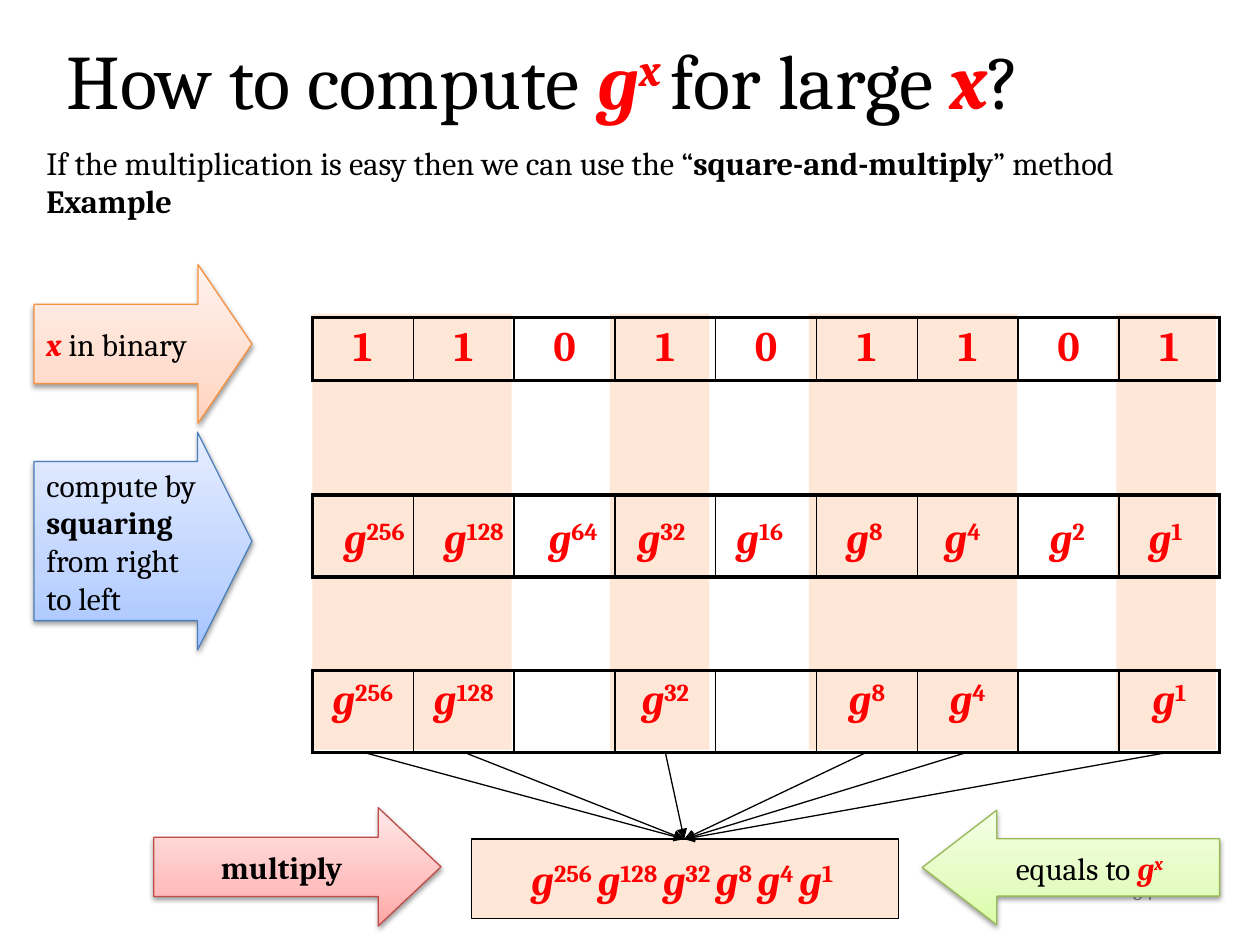
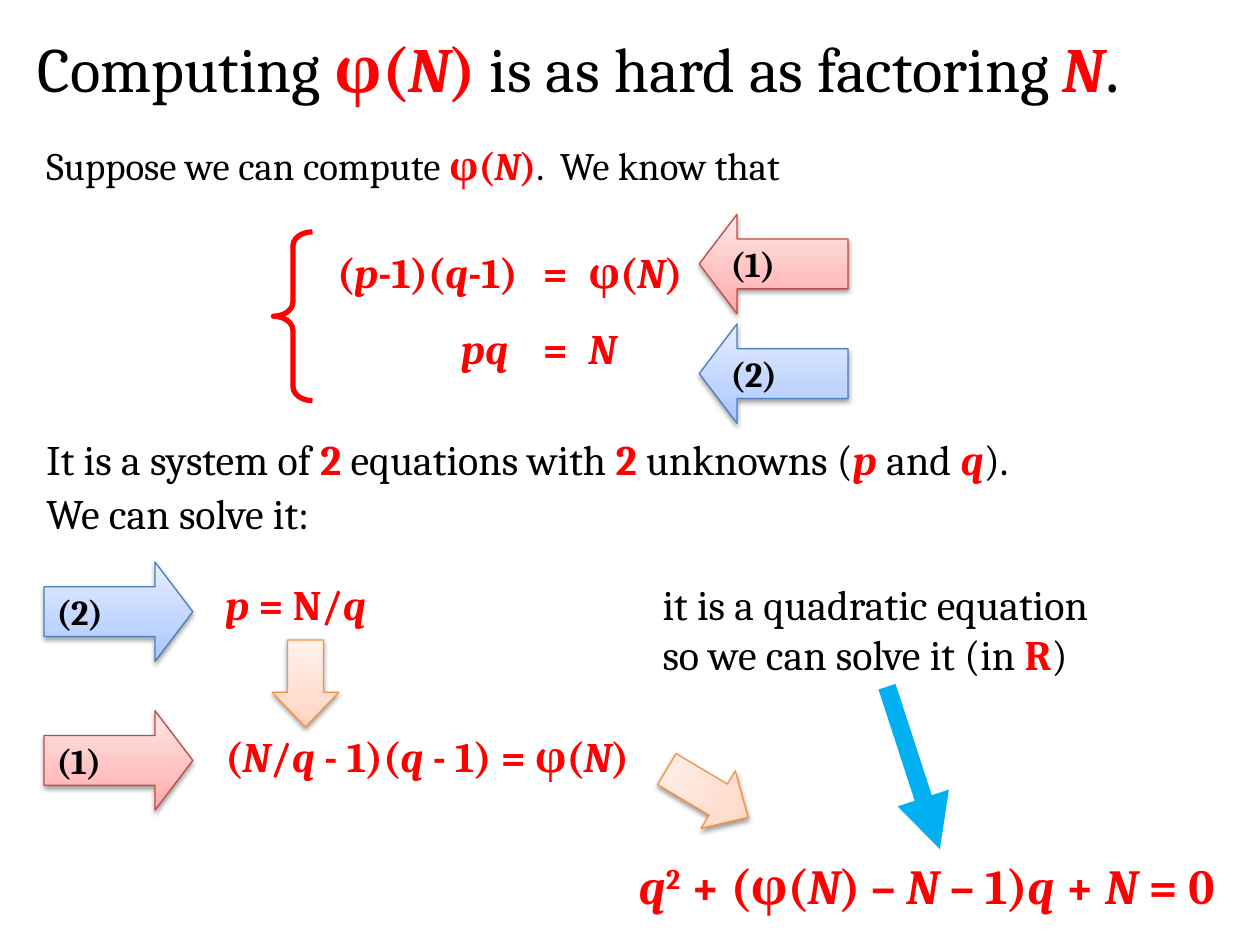
from copy import deepcopy

from lxml.etree import SubElement
from pptx import Presentation
from pptx.dml.color import RGBColor
from pptx.enum.shapes import MSO_CONNECTOR, MSO_SHAPE as SHAPE
from pptx.enum.text import MSO_ANCHOR as ANCHOR, PP_ALIGN as ALIGN
from pptx.oxml.ns import qn
from pptx.util import Inches, Pt

FONT = "Cambria"
COLORS = {
    "text": "000000", "math": "FF0000", "number": "8C8C8C",
    "band": "FEE7D6", "paper": "FFFFFF", "pointer": "00B0F0",
}
ARROW_THEMES = {
    "orange": ("F69240", "FFD2BD", "FFDED0", "FFF2ED"),
    "blue": ("4B7EBC", "A4C4FF", "BFD4FF", "E6EEFF"),
    "red": ("BF4C48", "FFA6A5", "FFC0BF", "FFE7E7"),
    "green": ("98B955", "DAFDA7", "E4FCC2", "F5FFE7"),
}
GRADIENT_POSITIONS = (0, 0.35, 1)
BITS = "110101101"
GRID_LEFT, COLUMN = 2.48, 0.8


def rgb(name):
    """Return the colour for a palette name or a hex string."""
    return RGBColor.from_string(COLORS.get(name, name))


def inches(*lengths):
    """Convert numbers to inch lengths."""
    return [Inches(length) for length in lengths]


def add_run(paragraph, text, flags, size, color):
    """Add one run; flags are b bold, r red bold, i italic, ^ superscript."""
    run = paragraph.add_run()
    run.text = text
    run.font.name = FONT
    run.font.size = Pt(size)
    run.font.bold = "b" in flags or "r" in flags
    run.font.italic = "i" in flags
    run.font.color.rgb = rgb("math" if "r" in flags else color)
    if "^" in flags:
        run.font._element.set("baseline", "30000")


def write(frame, paragraphs, size, align=ALIGN.LEFT, spacing=None, before=0, color="text"):
    """Write paragraphs given as lists of (text, flags[, size]) segments."""
    for index, segments in enumerate(paragraphs):
        paragraph = frame.add_paragraph() if index else frame.paragraphs[0]
        paragraph.alignment = align
        paragraph.space_before = Pt(before if index else 0)
        if spacing:
            paragraph.line_spacing = spacing
        for text, flags, *own_size in segments:
            for number, line in enumerate(text.split("\n")):
                if number:
                    paragraph.add_line_break()
                if line:
                    add_run(paragraph, line, flags, own_size[0] if own_size else size, color)


def add_text(slide, box, paragraphs, size, wrap=False, anchor=ANCHOR.TOP, **layout):
    """Add a text box."""
    label = slide.shapes.add_textbox(*inches(*box))
    label.text_frame.word_wrap = wrap
    label.text_frame.vertical_anchor = anchor
    write(label.text_frame, paragraphs, size, **layout)
    return label


def add_frame(slide, number, title_box, title, size):
    """Add the page number and the title."""
    add_text(slide, (7.17, 6.83, 2.08, 0.5), [[(number, "")]], 12, True,
             ANCHOR.MIDDLE, align=ALIGN.RIGHT, color="number")
    add_text(slide, title_box, [title], size, True, ANCHOR.MIDDLE)


def add_body(slide, box, paragraphs, size, spacing):
    """Add body text with tight lines."""
    add_text(slide, box, paragraphs, size, True, spacing=spacing, before=size / 5)


def add_box(slide, box, outlined=False):
    """Add a band-coloured rectangle."""
    panel = slide.shapes.add_shape(SHAPE.RECTANGLE, *inches(*box))
    panel.shadow.inherit = False
    panel.fill.solid()
    panel.fill.fore_color.rgb = rgb("band")
    if outlined:
        panel.line.color.rgb = rgb("text")
        panel.line.width = Pt(0.75)
    else:
        panel.line.fill.background()
    return panel


def add_block_arrow(slide, kind, box, theme, adjust, segments=(), size=18,
                    align=ALIGN.LEFT, rotation=0):
    """Add a shaded block arrow with a soft shadow."""
    arrow = slide.shapes.add_shape(kind, *inches(*box))
    arrow.rotation = rotation
    for index, value in enumerate(adjust):
        arrow.adjustments[index] = value
    edge, *tints = ARROW_THEMES[theme]
    arrow.line.color.rgb = rgb(edge)
    arrow.line.width = Pt(0.75)
    arrow.fill.gradient()
    arrow.fill.gradient_angle = 90
    properties = arrow._element.spPr
    stops = properties.find(qn("a:gradFill")).find(qn("a:gsLst"))
    stops.append(deepcopy(stops[-1]))
    for stop, position, tint in zip(arrow.fill.gradient_stops, GRADIENT_POSITIONS, tints):
        stop.position = position
        stop.color.rgb = rgb(tint)
    arrow.shadow.inherit = False
    shadow = SubElement(properties.find(qn("a:effectLst")), qn("a:outerShdw"),
                        blurRad=str(Pt(3.1)), dist=str(Pt(1.6)), dir="5400000", rotWithShape="0")
    shade = SubElement(shadow, qn("a:srgbClr"), val=COLORS["text"])
    SubElement(shade, qn("a:alpha"), val="38000")
    if segments:
        arrow.text_frame.word_wrap = False
        arrow.text_frame.vertical_anchor = ANCHOR.MIDDLE
        write(arrow.text_frame, [segments], size, align)


def add_pointer(slide, start, end, color="text", width=0.75):
    """Add a straight line with an arrowhead at its end."""
    pointer = slide.shapes.add_connector(MSO_CONNECTOR.STRAIGHT, *inches(*start, *end))
    pointer.line.color.rgb = rgb(color)
    pointer.line.width = Pt(width)
    properties = pointer._element.spPr
    SubElement(properties.find(qn("a:ln")), qn("a:tailEnd"), type="triangle")
    SubElement(properties, qn("a:effectLst"))


def add_border(cell, side, width):
    """Draw one side of a cell."""
    edge = SubElement(cell._tc.get_or_add_tcPr(), qn(f"a:ln{side}"), w=str(Pt(width)))
    fill = SubElement(edge, qn("a:solidFill"))
    SubElement(fill, qn("a:srgbClr"), val=COLORS["text"])


def add_grid(slide, corner, widths, heights, rows, aligns, bordered=True):
    """Add a transparent table of formulas."""
    size = sum(widths), sum(heights)
    grid = slide.shapes.add_table(len(rows), len(widths), *inches(*corner, *size)).table
    grid.first_row = grid.horz_banding = False
    for row, height in zip(grid.rows, heights):
        row.height = Inches(height)
    for column, width in zip(grid.columns, widths):
        column.width = Inches(width)
    last = len(widths) - 1
    for row_index, row in enumerate(rows):
        for index, segments in enumerate(row):
            cell = grid.cell(row_index, index)
            if bordered:
                add_border(cell, "L", 1 if index else 2.25)
                add_border(cell, "R", 1 if index < last else 2.25)
                add_border(cell, "T", 2.25)
                add_border(cell, "B", 2.25)
            cell.fill.background()
            write(cell.text_frame, [segments], 24, aligns[index])


def power(exponent, gap=""):
    """Return the segments of g raised to an exponent."""
    return [("g", "ri"), (f"{exponent}{gap}", "r^")]


def build_square_and_multiply(slide):
    """Build the slide on fast exponentiation."""
    bands = ((2.48, 0.79), (3.27, 0.79), (4.84, 0.79), (6.42, 0.87), (7.28, 0.79), (8.86, 0.79))
    power_centers = (2.97, 3.76, 4.55, 5.25, 6.03, 6.86, 7.64, 8.47, 9.25)
    power_widths = {1: 0.52, 2: 0.66, 3: 0.79}
    exponents = [2 ** place for place in reversed(range(len(BITS)))]
    chosen = [exponent for exponent, bit in zip(exponents, BITS) if bit == "1"]

    add_frame(slide, "54", (0.43, 0, 8.97, 1.25),
              [("How to compute ", ""), ("g", "ri"), ("x ", "ri^"), ("for large ", ""),
               ("x", "ri"), ("?", "")], 44)
    for left, width in bands:
        add_box(slide, (left, 2.49, width, 3.46))
    add_body(slide, (0.27, 1.15, 9.06, 0.94), [
        [("If the multiplication is easy then we can use the “", ""),
         ("square-and-multiply", "b"), ("” method", "")],
        [("Example", "b")]], 18.5, 0.8)

    grid_rows = (
        (2.52, 0.48, [[(bit, "r")] for bit in BITS]),
        (3.93, 0.65, [[] for bit in BITS]),
        (5.32, 0.65, [power(exponent) if exponent in chosen else [] for exponent in exponents]),
    )
    columns = len(BITS)
    for top, height, cells in grid_rows:
        add_grid(slide, (GRID_LEFT, top), [COLUMN] * columns, [height], [cells],
                 [ALIGN.CENTER] * columns)
    for exponent, center in zip(exponents, power_centers):
        width = power_widths[len(str(exponent))]
        add_text(slide, (center - width / 2, 4.01, width, 0.5), [power(exponent)], 24,
                 align=ALIGN.CENTER)

    add_block_arrow(slide, SHAPE.RIGHT_ARROW, (0.27, 2.1, 1.73, 1.26), "orange", (0.5, 0.34),
                    [("x ", "ri"), ("in binary", "")])
    add_block_arrow(slide, SHAPE.RIGHT_ARROW, (0.27, 3.43, 1.73, 1.73), "blue", (0.73, 0.25),
                    [("compute by\n", ""), ("squaring\n", "b"), ("from right\nto left", "")])
    product = add_box(slide, (3.74, 6.66, 3.39, 0.63), outlined=True)
    product.text_frame.word_wrap = False
    product.text_frame.vertical_anchor = ANCHOR.MIDDLE
    factors = [segment for exponent in chosen for segment in power(exponent, " ")]
    write(product.text_frame, [factors], 24, ALIGN.CENTER)
    for index, bit in enumerate(BITS):
        if bit == "1":
            add_pointer(slide, (GRID_LEFT + COLUMN * (index + 0.5), 5.97), (5.43, 6.66))
    add_block_arrow(slide, SHAPE.RIGHT_ARROW, (1.22, 6.41, 2.28, 0.94), "red", (0.5, 0.53),
                    [("multiply", "b")], align=ALIGN.CENTER)
    add_block_arrow(slide, SHAPE.LEFT_ARROW, (7.32, 6.43, 2.36, 0.91), "green", (0.5, 0.65),
                    [("equals to ", ""), ("g", "ri"), ("x", "ri^")], align=ALIGN.CENTER)


def build_phi_and_factoring(slide):
    """Build the slide on computing φ(N)."""
    phi = [("φ(", "r"), ("N", "ri"), (")", "r")]
    add_frame(slide, "93", (0.2, 0, 9.61, 1.02),
              [("Computing ", ""), *phi, (" is as hard as factoring ", ""), ("N", "ri"),
               (".", "", 40)], 36)
    add_body(slide, (0.27, 1.15, 7.79, 0.39),
             [[("Suppose we can compute ", ""), *phi, (".  We know that", "")]], 22.2, 0.8)
    equations = [
        [[("(", "r"), ("p", "ri"), ("-1)(", "r"), ("q", "ri"), ("-1)", "r")], [("=", "r")], phi],
        [[("pq ", "ri")], [("=", "r")], [("N", "ri")]],
    ]
    add_grid(slide, (2.16, 1.94), (2.05, 0.36, 1.21), (0.6, 0.58), equations,
             (ALIGN.RIGHT, ALIGN.CENTER, ALIGN.LEFT), bordered=False)
    brace = slide.shapes.add_shape(SHAPE.LEFT_BRACE, *inches(2.17, 1.84, 0.31, 1.34))
    brace.shadow.inherit = False
    brace.adjustments[0] = 0.36
    brace.fill.background()
    brace.line.color.rgb = rgb("math")
    brace.line.width = Pt(3)
    add_body(slide, (0.27, 3.44, 8.9, 0.78), [
        [("It is a system of ", ""), ("2", "r"), (" equations with ", ""), ("2", "r"),
         (" unknowns (", ""), ("p", "ri"), (" and ", ""), ("q", "ri"), (").", "")],
        [("We can solve it:", "")]], 24, 0.9)
    add_text(slide, (1.69, 4.54, 3.65, 1.72), [
        [("p", "ri"), (" = N/", "r"), ("q", "ri")],
        [("(", "r"), ("N", "ri"), ("/", "r"), ("q", "ri"), (" - 1)(", "r"), ("q ", "ri"),
         ("- 1) = ", "r"), *phi]], 24, before=58)

    equation_tags = (
        (SHAPE.LEFT_ARROW, 5.55, 1.7, "red", "(1)"),
        (SHAPE.LEFT_ARROW, 5.55, 2.57, "blue", "(2)"),
        (SHAPE.RIGHT_ARROW, 0.35, 5.64, "red", "(1)"),
        (SHAPE.RIGHT_ARROW, 0.35, 4.46, "blue", "(2)"),
    )
    for kind, left, top, theme, tag in equation_tags:
        add_block_arrow(slide, kind, (left, top, 1.18, 0.79), theme, (0.5, 0.38),
                        [(tag, "b")], 20)
    for box, rotation in (((2.16, 5.08, 0.53, 0.69), 0), ((5.35, 5.92, 0.53, 0.75), 300.7)):
        add_block_arrow(slide, SHAPE.DOWN_ARROW, box, "orange", (0.54, 0.52), rotation=rotation)

    quadratic = add_text(slide, (4.97, 6.74, 4.97, 0.57), [
        [("q", "ri"), ("2", "r^"), (" + (", "r"), *phi, (" – ", "r"), ("N", "ri"),
         (" – 1)", "r"), ("q", "ri"), (" + ", "r"), ("N ", "ri"), ("= 0", "r")]], 28)
    quadratic.fill.solid()
    quadratic.fill.fore_color.rgb = rgb("paper")
    add_text(slide, (5.16, 4.54, 3.75, 0.91), [
        [("it is a quadratic equation\nso we can solve it (in ", ""), ("R", "r"), (")", "")]], 24)
    add_pointer(slide, (7.04, 5.45), (7.46, 6.74), "pointer", 10.25)


def main():
    """Build both slides and save the deck."""
    deck = Presentation()
    deck.slide_width, deck.slide_height = inches(10, 7.5)
    for build in (build_square_and_multiply, build_phi_and_factoring):
        build(deck.slides.add_slide(deck.slide_layouts[6]))
    deck.save("out.pptx")


if __name__ == "__main__":
    main()
